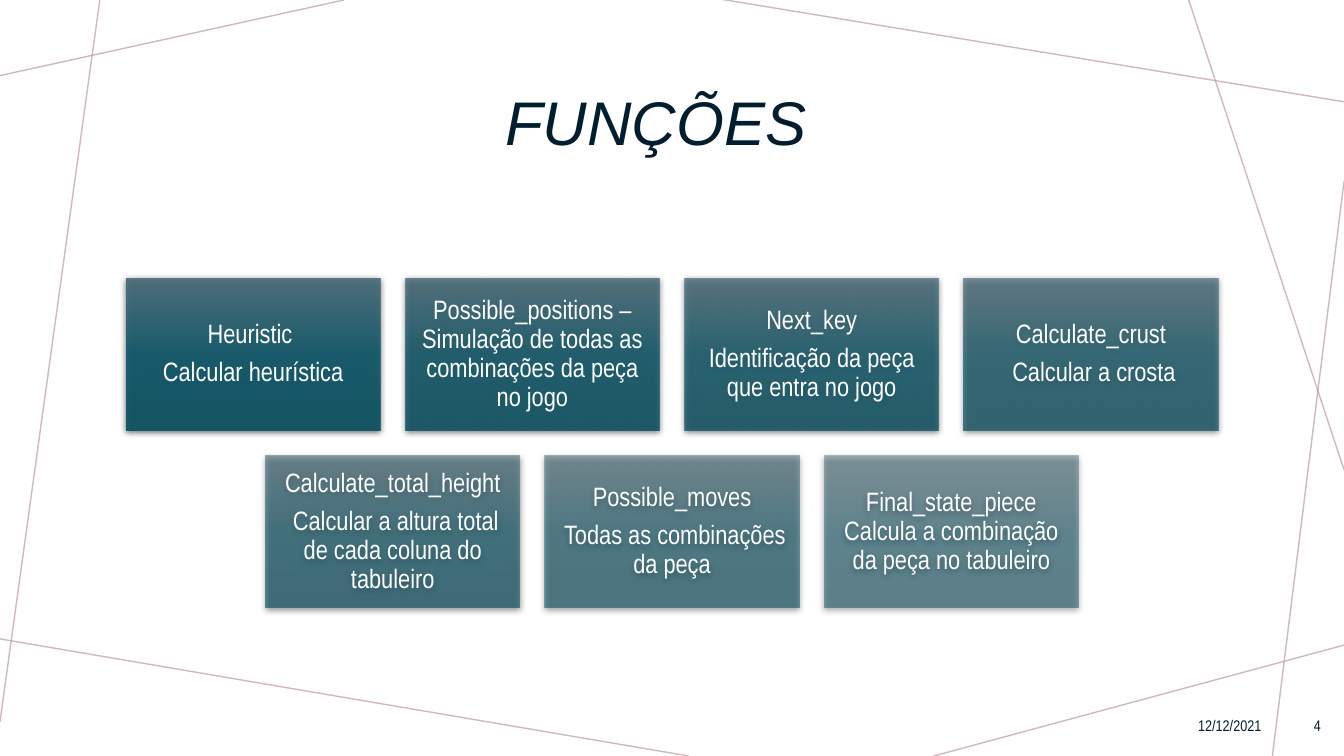
from lxml import etree
from pptx import Presentation
from pptx import util as u
from pptx.dml.color import RGBColor
from pptx.enum import shapes, text
from pptx.oxml import parse_xml
from pptx.oxml.ns import nsdecls, qn

WIDTH, HEIGHT = 13.33, 7.5
NAVY, WHITE, ROSE = "001E2E", "FFFFFF", "BA9CA0"
CARD_STOPS = [(0, "4D6E7B"), (50, "11596B"), (100, "0B5263")]

WEB_LINES = [
    ((3.41, 0), (0, 0.75)),
    ((0.99, 0), (0, 7.16)),
    ((6.83, 7.5), (-0.05, 6.33)),
    ((13.33, 6.4), (9.26, 7.5)),
    ((13.33, 1.8), (12.62, 7.5)),
    ((13.33, 4.66), (11.79, 0)),
    ((13.33, 1.01), (7.14, -0.01)),
]

FUNCTION_ROWS = [
    [
        ["Heuristic ", "Calcular heurística"],
        ["Possible_positions – Simulação de todas as combinações da peça no jogo"],
        ["Next_key", "Identificação da peça que entra no jogo"],
        ["Calculate_crust", " Calcular a crosta"],
    ],
    [
        ["Calculate_total_height", " Calcular a altura total de cada coluna do tabuleiro"],
        ["Possible_moves", " Todas as combinações da peça"],
        ["Final_state_piece Calcula a combinação da peça no tabuleiro"],
    ],
]


def color(hex_string):
    return RGBColor.from_string(hex_string)


def inches(*lengths):
    return [u.Inches(length) for length in lengths]


def apply(target, formats):
    for name, value in formats.items():
        setattr(target, name, value)


def write(frame, lines, font, paragraph_format, frame_format):
    """Fill a text frame, one paragraph a line."""
    apply(frame, {"word_wrap": True,
                  "vertical_anchor": text.MSO_ANCHOR.MIDDLE, **frame_format})
    for index, line in enumerate(lines):
        paragraph = frame.paragraphs[0] if index == 0 else frame.add_paragraph()
        apply(paragraph, paragraph_format)
        run = paragraph.add_run()
        run.text = line
        apply(run.font, {k: v for k, v in font.items() if k != "color"})
        run.font.color.rgb = color(font["color"])


def draw_web(slide):
    """Thin lines crossing the slide's edges."""
    for start, end in WEB_LINES:
        strand = slide.shapes.add_connector(
            shapes.MSO_CONNECTOR.STRAIGHT, *inches(*start, *end))
        strand.line.width = u.Pt(1)
        strand.line.color.rgb = color(ROSE)
        tint = strand._element.spPr.find(".//" + qn("a:srgbClr"))
        etree.SubElement(tint, qn("a:alpha"), val="70000")
        etree.SubElement(strand._element.spPr, qn("a:effectLst"))


def draw_title(slide, box):
    title = slide.shapes.title
    apply(title, dict(zip(("left", "top", "width", "height"), inches(*box))))
    write(title.text_frame, ["FUNÇÕES"],
          {"name": "Arial", "size": u.Pt(44), "italic": True, "color": NAVY},
          {"alignment": text.PP_ALIGN.LEFT, "line_spacing": 0.9},
          {"auto_size": text.MSO_AUTO_SIZE.NONE})


def draw_footer(slide, box, label):
    note = slide.shapes.add_textbox(*inches(*box))
    write(note.text_frame, [label],
          {"name": "Arial Narrow", "size": u.Pt(11), "color": NAVY},
          {"alignment": text.PP_ALIGN.RIGHT, "space_after": u.Pt(6)}, {})


def shade(card, opacity):
    """Vertical translucent gradient and a soft shadow below."""
    card.line.fill.background()
    properties = card._element.spPr
    stops = "".join(
        f'<a:gs pos="{position * 1000}"><a:srgbClr val="{tone}">'
        f'<a:alpha val="{opacity * 1000}"/></a:srgbClr></a:gs>'
        for position, tone in CARD_STOPS)
    properties.find(qn("a:prstGeom")).addnext(parse_xml(
        f'<a:gradFill {nsdecls("a")} rotWithShape="1"><a:gsLst>{stops}</a:gsLst>'
        '<a:lin ang="5400000" scaled="0"/></a:gradFill>'))
    properties.append(parse_xml(
        f'<a:effectLst {nsdecls("a")}><a:outerShdw blurRad="{u.Pt(4.5)}" '
        f'dist="{u.Pt(1.5)}" dir="5400000" algn="ctr" rotWithShape="0">'
        '<a:srgbClr val="000000"><a:alpha val="63000"/></a:srgbClr>'
        '</a:outerShdw></a:effectLst>'))


def draw_card(slide, box, lines, opacity):
    card = slide.shapes.add_shape(shapes.MSO_SHAPE.RECTANGLE, *inches(*box))
    shade(card, opacity)
    margins = dict.fromkeys(
        ("margin_left", "margin_top", "margin_right", "margin_bottom"), u.Inches(0.08))
    write(card.text_frame, lines,
          {"name": "Arial Narrow", "size": u.Pt(19), "color": WHITE},
          {"alignment": text.PP_ALIGN.CENTER, "line_spacing": 0.9,
           "space_after": u.Pt(6.65)}, margins)


def draw_functions(slide, box, rows, gap=0.25):
    """Rows of equal cards, each row centred in the box, fading from 90% to 50%."""
    left, top, width, height = box
    columns = max(len(row) for row in rows)
    card_width = (width - gap * (columns - 1)) / columns
    card_height = (height - gap * (len(rows) - 1)) / len(rows)
    last = sum(len(row) for row in rows) - 1
    order = 0
    for r, row in enumerate(rows):
        indent = (columns - len(row)) * (card_width + gap) / 2
        for c, lines in enumerate(row):
            place = (left + indent + c * (card_width + gap),
                     top + r * (card_height + gap), card_width, card_height)
            draw_card(slide, place, lines, round(90 - 40 * order / last))
            order += 1


def main():
    deck = Presentation()
    deck.slide_width, deck.slide_height = inches(WIDTH, HEIGHT)
    slide = deck.slides.add_slide(deck.slide_layouts[5])
    draw_web(slide)
    draw_title(slide, (4.91, 0.49, 3.51, 1.51))
    draw_footer(slide, (8.02, 7, 4.59, 0.4), "12/12/2021")
    draw_footer(slide, (12.69, 7, 0.51, 0.4), "4")
    draw_functions(slide, (1.25, 2.76, WIDTH - 2 * 1.25, 3.27), FUNCTION_ROWS)
    deck.save("out.pptx")


if __name__ == "__main__":
    main()
